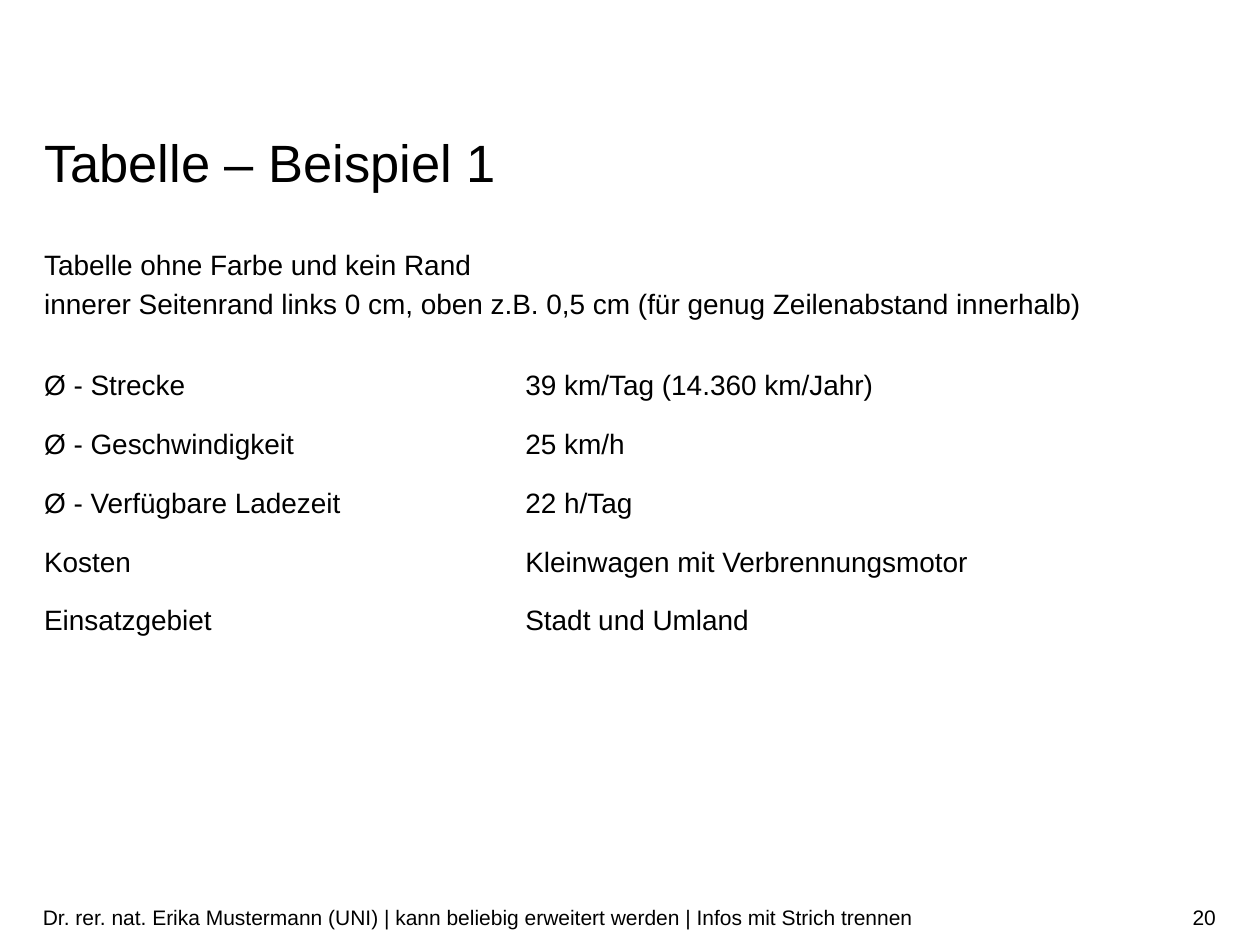
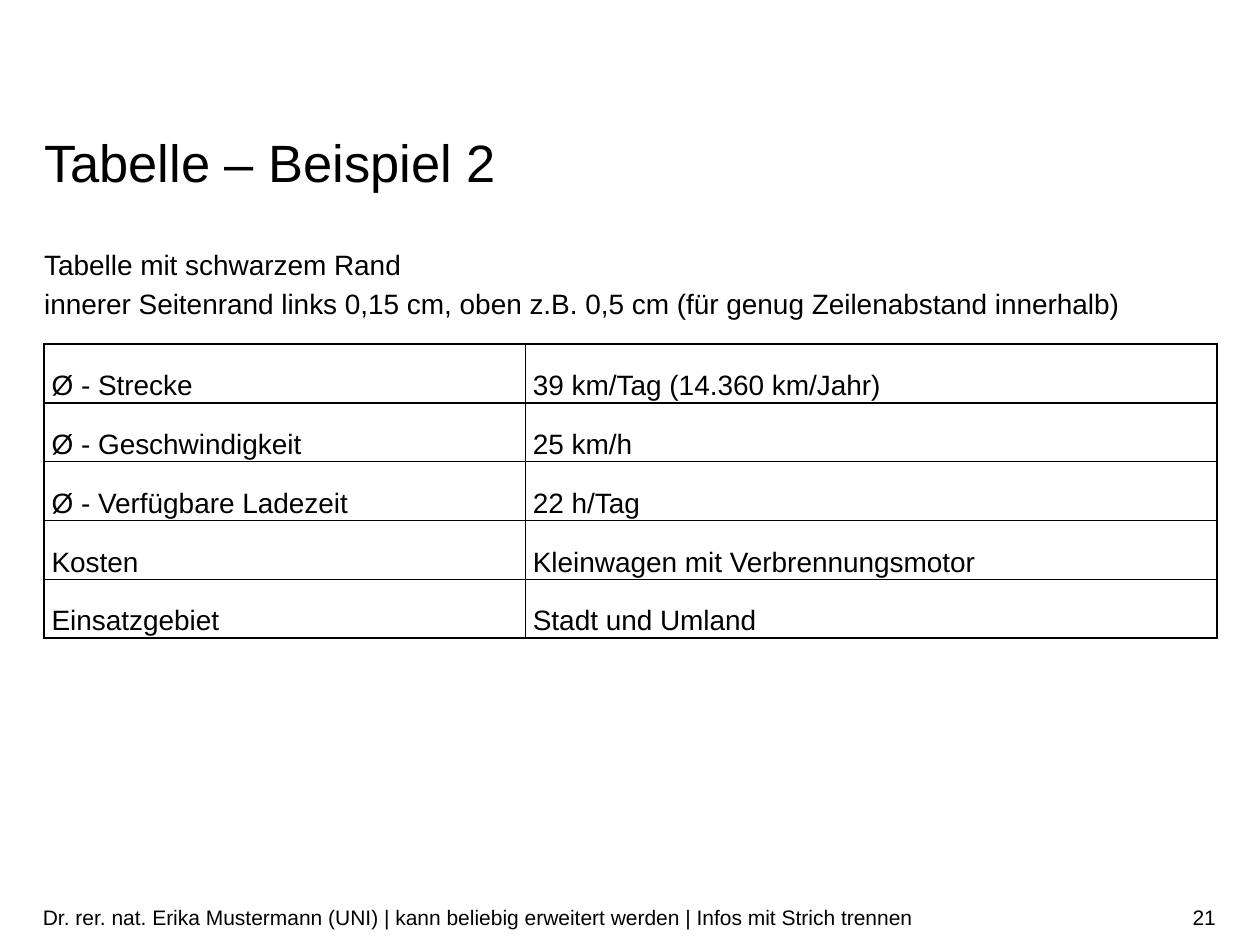
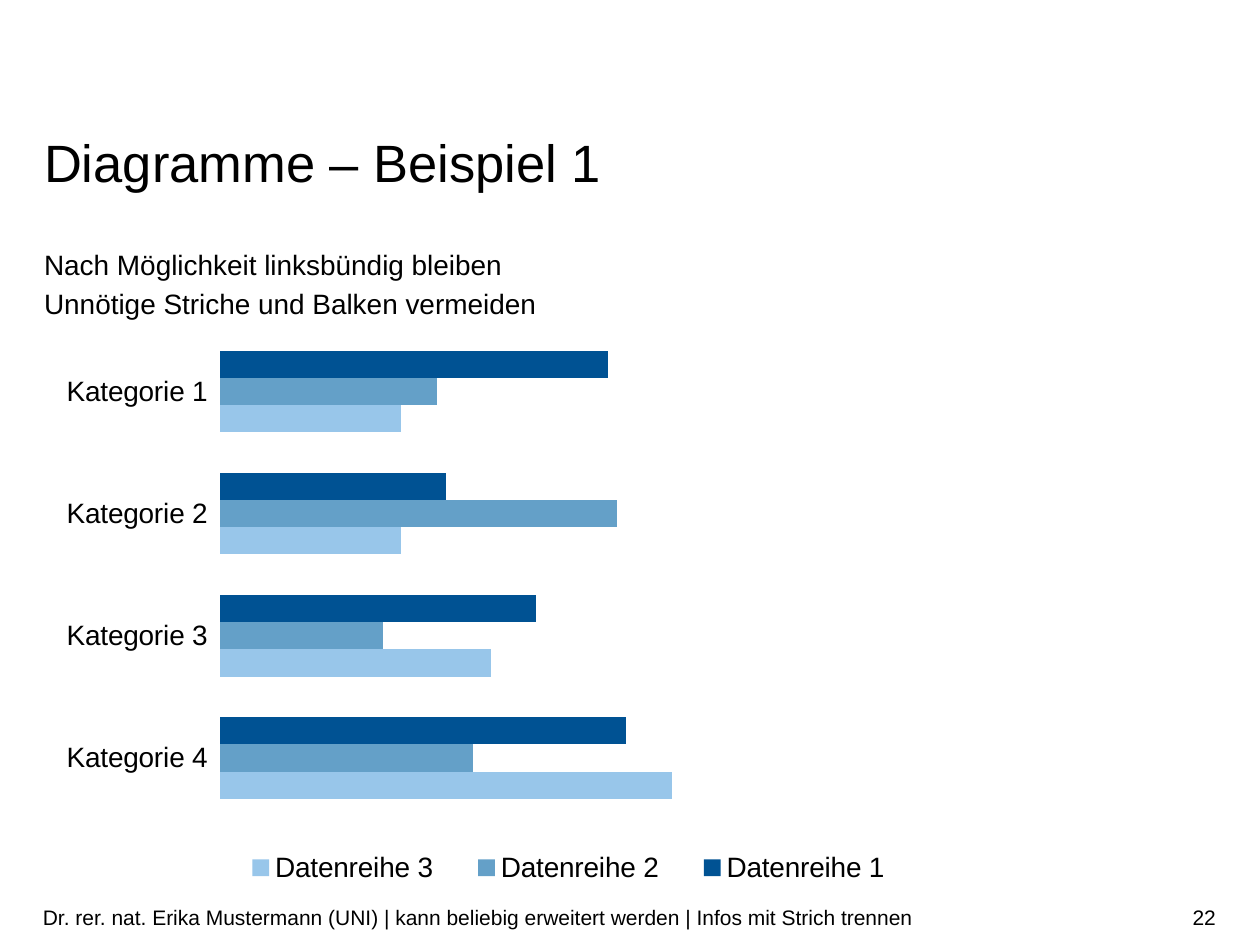
from lxml.etree import SubElement
from pptx import Presentation
from pptx.chart.data import CategoryChartData
from pptx.dml.color import RGBColor
from pptx.enum.chart import XL_CHART_TYPE, XL_LEGEND_POSITION, XL_TICK_MARK
from pptx.enum.text import MSO_ANCHOR, MSO_AUTO_SIZE, PP_ALIGN
from pptx.oxml import parse_xml
from pptx.oxml.ns import nsdecls, qn
from pptx.util import Inches, Pt

COLORS = {"text": "000000", "dark": "005293", "mid": "64A0C8", "light": "98C6EA"}
FACE = "Arial"
LEFT, WIDTH = 0.35, 9.31
FOOT = ("Dr. rer. nat. Erika Mustermann (UNI) | kann beliebig erweitert werden"
        " | Infos mit Strich trennen")
FACTS = [
    ("Ø - Strecke", "39 km/Tag (14.360 km/Jahr)"),
    ("Ø - Geschwindigkeit", "25 km/h"),
    ("Ø - Verfügbare Ladezeit", "22 h/Tag"),
    ("Kosten", "Kleinwagen mit Verbrennungsmotor"),
    ("Einsatzgebiet", "Stadt und Umland"),
]
SERIES = [
    ("Datenreihe 1", (86, 50, 70, 90), "dark"),
    ("Datenreihe 2", (48, 88, 36, 56), "mid"),
    ("Datenreihe 3", (40, 40, 60, 100), "light"),
]


def style(font, size):
    """Set the shared face and text colour at a size."""
    font.name, font.size = FACE, Pt(size)
    font.color.rgb = RGBColor.from_string(COLORS["text"])


def add_text(slide, box, text, size, pad=0, anchor=MSO_ANCHOR.TOP,
             align=PP_ALIGN.LEFT, space=None):
    """Add a text box of one paragraph and return its frame."""
    frame = slide.shapes.add_textbox(*map(Inches, box)).text_frame
    frame.word_wrap = True
    frame.vertical_anchor = anchor
    frame.margin_left = frame.margin_right = 0
    frame.margin_top = frame.margin_bottom = Inches(pad)
    para = frame.paragraphs[0]
    para.text = text
    para.alignment = align
    para.line_spacing = space
    style(para.font, size)
    return frame


def add_page(deck, number, title, lead):
    """Add a slide with its title, lead lines, footer and number."""
    slide = deck.slides.add_slide(deck.slide_layouts[6])
    head = add_text(slide, (LEFT, 1.09, WIDTH, 0.45), title, 30, space=Pt(32))
    head.auto_size = MSO_AUTO_SIZE.SHAPE_TO_FIT_TEXT
    add_text(slide, (LEFT, 1.93, WIDTH, 0.78), lead, 16, space=1.14)
    add_text(slide, (0.34, 7.08, 7.07, 0.4), FOOT, 12, 0.05, MSO_ANCHOR.MIDDLE)
    add_text(slide, (7.41, 7.08, 2.24, 0.4), str(number), 12, 0.05,
             MSO_ANCHOR.MIDDLE, PP_ALIGN.RIGHT)
    return slide


def set_edges(cell, width):
    """Draw all four cell edges, or none when the width is 0."""
    props = cell._tc.get_or_add_tcPr()
    fill = (f'<a:solidFill><a:srgbClr val="{COLORS["text"]}"/></a:solidFill>'
            if width else "<a:noFill/>")
    for spot, side in enumerate("LRTB"):
        props.insert(spot, parse_xml(
            f'<a:ln{side} {nsdecls("a")} w="{Pt(width)}">{fill}</a:ln{side}>'))


def add_facts(slide, inset, edge):
    """Add the table of facts with a left inset and an edge width."""
    box = map(Inches, (LEFT, 2.73, WIDTH, 2.32))
    table = slide.shapes.add_table(len(FACTS), 2, *box).table
    table.first_row = table.horz_banding = False
    for col, width in zip(table.columns, (3.82, 5.49)):
        col.width = Inches(width)
    for r, row in enumerate(FACTS):
        for c, text in enumerate(row):
            cell = table.cell(r, c)
            cell.text = text
            cell.vertical_anchor = MSO_ANCHOR.MIDDLE
            cell.margin_left, cell.margin_top = Inches(inset), Inches(0.2)
            cell.margin_right = cell.margin_bottom = 0
            cell.fill.background()
            style(cell.text_frame.paragraphs[0].font, 16)
            set_edges(cell, edge)


def place(part, spot, box, inner=False):
    """Give a chart part a fixed place, in shares of the chart."""
    for old in part.findall(qn("c:layout")):
        part.remove(old)
    layout = parse_xml(f'<c:layout {nsdecls("c")}><c:manualLayout/></c:layout>')
    rules = [("layoutTarget", "inner")] if inner else []
    rules += [("xMode", "edge"), ("yMode", "edge"), *zip("xywh", box)]
    for tag, val in rules:
        SubElement(layout[0], qn(f"c:{tag}")).set("val", str(val))
    part.insert(spot, layout)


def add_bars(slide):
    """Add the bar chart with its legend below the bars."""
    data = CategoryChartData()
    data.categories = [f"Kategorie {n}" for n in range(1, 5)]
    for name, vals, _ in SERIES:
        data.add_series(name, vals)
    box = map(Inches, (0.23, 2.61, WIDTH, 4.6))
    chart = slide.shapes.add_chart(XL_CHART_TYPE.BAR_CLUSTERED, *box, data).chart
    style(chart.font, 16)
    chart.has_title = False
    plot = chart.plots[0]
    plot.gap_width, plot.vary_by_categories = 150, False
    for series, (_, _, color) in zip(plot.series, SERIES):
        series.format.fill.solid()
        series.format.fill.fore_color.rgb = RGBColor.from_string(COLORS[color])
    cats, vals = chart.category_axis, chart.value_axis
    cats.reverse_order = True
    cats.major_tick_mark = XL_TICK_MARK.OUTSIDE
    cats.format.line.fill.background()
    vals.has_major_gridlines = vals.visible = False
    vals.minimum_scale, vals.maximum_scale = 0, 120
    chart.has_legend = True
    chart.legend.position = XL_LEGEND_POSITION.RIGHT
    chart.legend.include_in_layout = False
    place(chart.legend._element, 1, (0.16, 0.88, 0.6, 0.1))
    area = chart._chartSpace.chart.plotArea
    place(area, 0, (0.163, 0.003, 0.462, 0.843), inner=True)


def main():
    """Build the three slides and save them."""
    deck = Presentation()
    deck.slide_width, deck.slide_height = Inches(10), Inches(7.5)
    tail = "oben z.B. 0,5 cm (für genug Zeilenabstand innerhalb)"
    plain = add_page(deck, 20, "Tabelle – Beispiel 1",
                     "Tabelle ohne Farbe und kein Rand\v"
                     f"innerer Seitenrand links 0 cm, {tail}")
    add_facts(plain, 0, 0)
    framed = add_page(deck, 21, "Tabelle – Beispiel 2",
                      "Tabelle mit schwarzem Rand\v"
                      f"innerer Seitenrand links 0,15 cm, {tail}")
    add_facts(framed, 0.06, 1)
    bars = add_page(deck, 22, "Diagramme – Beispiel 1",
                    "Nach Möglichkeit linksbündig bleiben\v"
                    "Unnötige Striche und Balken vermeiden")
    add_bars(bars)
    deck.save("out.pptx")


main()
